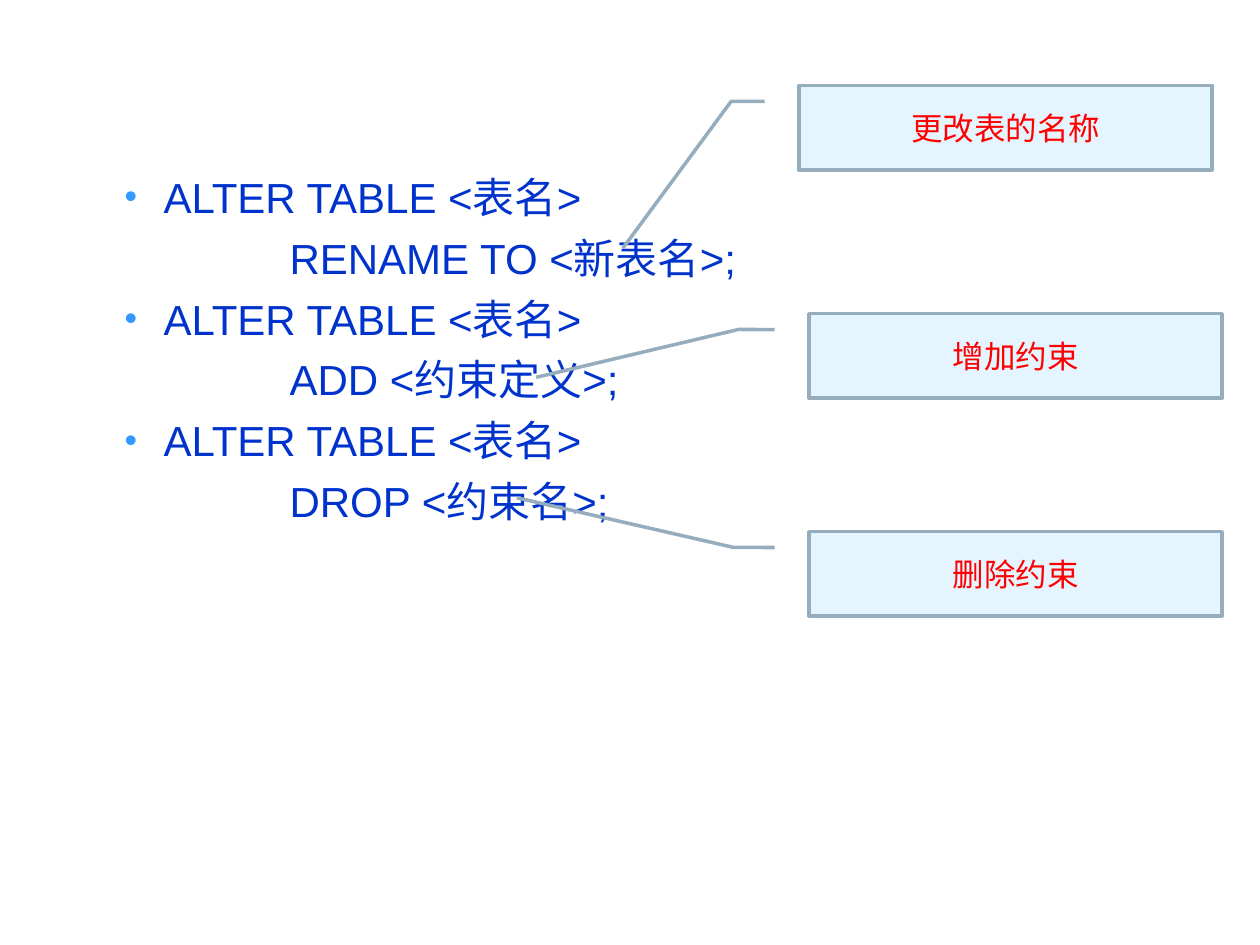
from dataclasses import dataclass

from lxml import etree
from pptx import Presentation
from pptx.dml.color import RGBColor
from pptx.enum.shapes import MSO_SHAPE
from pptx.enum.text import MSO_ANCHOR, PP_ALIGN
from pptx.oxml.ns import qn
from pptx.util import Inches, Pt

CALLOUT = MSO_SHAPE.LINE_CALLOUT_2
MIDDLE = MSO_ANCHOR.MIDDLE
CENTER = PP_ALIGN.CENTER


@dataclass(frozen=True)
class Theme:
    font: str = "Arial"
    code: str = "0033CC"
    bullet: str = "3399FF"
    label: str = "FF0000"
    fill: str = "CCECFF"
    line: str = "95ADBC"
    code_size: int = 24
    label_size: int = 18


THEME = Theme()

STATEMENTS = [
    ("ALTER TABLE <表名>", "RENAME TO <新表名>;"),
    ("ALTER TABLE <表名>", "ADD <约束定义>;"),
    ("ALTER TABLE <表名>", "DROP <约束名>;"),
]

CALLOUTS = [
    ("更改表的名称", 6.34, 0.68, (-0.164, 1.927, -0.426)),
    ("增加约束", 6.42, 2.49, (-0.171, 0.754, -0.66)),
    ("删除约束", 6.42, 4.22, (-0.182, -0.402, -0.707)),
]


def style_font(font, size, color):
    font.name = THEME.font
    font.size = Pt(size)
    font.color.rgb = RGBColor.from_string(color)


def set_indent(p, left, first=0):
    pPr = p._p.get_or_add_pPr()
    pPr.set("marL", str(Inches(left)))
    pPr.set("indent", str(Inches(first)))
    return pPr


def add_bullet(pPr):
    color = etree.SubElement(pPr, qn("a:buClr"))
    etree.SubElement(color, qn("a:srgbClr"), val=THEME.bullet)
    etree.SubElement(pPr, qn("a:buSzPct"), val="85000")
    etree.SubElement(pPr, qn("a:buFont"), typeface=THEME.font)
    etree.SubElement(pPr, qn("a:buChar"), char="•")


def add_code_line(p, text, bulleted):
    p.text = text
    if bulleted:
        add_bullet(set_indent(p, 0.81, -0.31))
    else:
        set_indent(p, 1.81)
    style_font(p.runs[0].font, THEME.code_size, THEME.code)


def add_statements(slide):
    box = slide.shapes.add_textbox(Inches(0.39), Inches(1.31), Inches(9.34), Inches(5.77))
    tf = box.text_frame
    tf.word_wrap = True
    lines = [(text, i == 0) for pair in STATEMENTS for i, text in enumerate(pair)]
    for i, (text, bulleted) in enumerate(lines):
        p = tf.add_paragraph() if i else tf.paragraphs[0]
        add_code_line(p, text, bulleted)
        if i:
            p.space_before = Pt(6)


def add_callout(slide, text, left, top, pointer):
    sp = slide.shapes.add_shape(CALLOUT, Inches(left), Inches(top), Inches(3.28), Inches(0.67))
    sp.shadow.inherit = False
    for i, value in enumerate((0.188, -0.083, 0.187) + pointer):
        sp.adjustments[i] = value
    sp.fill.solid()
    sp.fill.fore_color.rgb = RGBColor.from_string(THEME.fill)
    color = sp._element.spPr.find(qn("a:solidFill")).find(qn("a:srgbClr"))
    etree.SubElement(color, qn("a:alpha"), val="50000")
    sp.line.color.rgb = RGBColor.from_string(THEME.line)
    sp.line.width = Pt(2)
    tf = sp.text_frame
    tf.word_wrap = True
    tf.vertical_anchor = MIDDLE
    p = tf.paragraphs[0]
    p.text = text
    p.alignment = CENTER
    style_font(p.runs[0].font, THEME.label_size, THEME.label)


def main():
    prs = Presentation()
    prs.slide_width, prs.slide_height = Inches(10), Inches(7.5)
    slide = prs.slides.add_slide(prs.slide_layouts[6])
    add_statements(slide)
    for text, left, top, pointer in CALLOUTS:
        add_callout(slide, text, left, top, pointer)
    prs.save("out.pptx")


if __name__ == "__main__":
    main()
